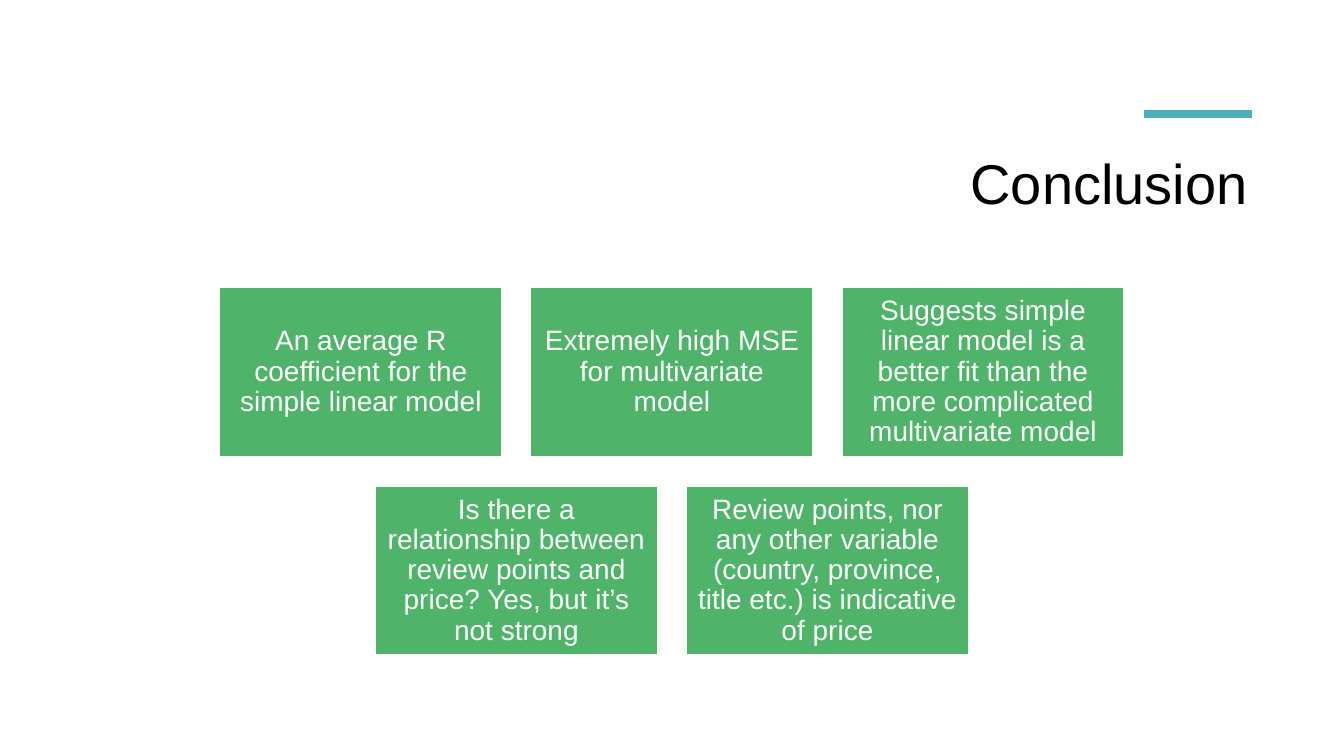
"""Build the conclusion slide: a title, an accent bar and two centred rows of findings."""
from dataclasses import dataclass

from lxml.etree import SubElement
from pptx import Presentation
from pptx.dml.color import RGBColor
from pptx.enum.shapes import MSO_CONNECTOR, MSO_SHAPE
from pptx.enum.text import MSO_ANCHOR, PP_ALIGN
from pptx.oxml.ns import qn
from pptx.text.text import TextFrame
from pptx.util import Inches, Pt

FINDING_WIDTH, FINDING_HEIGHT = 2.8, 1.68
COLUMN_STEP, ROW_STEP = 3.085, 1.97
ROWS_CENTER, ROWS_TOP = 6.665, 2.85
FINDING_ROWS = [
    [
        "An average R coefficient for the simple linear model",
        "Extremely high MSE for multivariate model",
        "Suggests simple linear model is a better fit than the more complicated multivariate model",
    ],
    [
        "Is there a relationship between review points and price? Yes, but it’s not strong",
        "Review points, nor any other variable (country, province, title etc.) is indicative of price",
    ],
]


@dataclass
class Finding:
    text: str
    left: float
    top: float


def color(value: str) -> RGBColor:
    return RGBColor.from_string(value)


def write(frame: TextFrame, text: str, *, size: float, fill: str, align: PP_ALIGN,
          anchor: MSO_ANCHOR, side: float, vertical: float, spacing: float = 1.0) -> None:
    frame.word_wrap = True
    frame.vertical_anchor = anchor
    frame.margin_left = frame.margin_right = Inches(side)
    frame.margin_top = frame.margin_bottom = Inches(vertical)
    paragraph = frame.paragraphs[0]
    paragraph.alignment = align
    paragraph.line_spacing = spacing
    run = paragraph.add_run()
    run.text = text
    run.font.name = "Arial"
    run.font.size = Pt(size)
    run.font.color.rgb = color(fill)


def layout_findings() -> list[Finding]:
    findings = []
    for row, texts in enumerate(FINDING_ROWS):
        row_width = (len(texts) - 1) * COLUMN_STEP + FINDING_WIDTH
        left = ROWS_CENTER - row_width / 2
        for column, text in enumerate(texts):
            findings.append(Finding(text, left + column * COLUMN_STEP, ROWS_TOP + row * ROW_STEP))
    return findings


def draw_finding(slide, finding: Finding) -> None:
    tile = slide.shapes.add_shape(
        MSO_SHAPE.RECTANGLE, Inches(finding.left), Inches(finding.top),
        Inches(FINDING_WIDTH), Inches(FINDING_HEIGHT))
    tile.shadow.inherit = False
    tile.fill.solid()
    tile.fill.fore_color.rgb = color("4FB369")
    tile.line.color.rgb = color("FFFFFF")
    tile.line.width = Pt(1)
    write(tile.text_frame, finding.text, size=20, fill="FFFFFF", align=PP_ALIGN.CENTER,
          anchor=MSO_ANCHOR.MIDDLE, side=0.08, vertical=0.08, spacing=0.9)


def draw_heading(slide) -> None:
    title = slide.shapes.add_textbox(Inches(1.9), Inches(1.37), Inches(10.57), Inches(1.25))
    write(title.text_frame, "Conclusion", size=40, fill="000000", align=PP_ALIGN.RIGHT,
          anchor=MSO_ANCHOR.TOP, side=0.1, vertical=0.1)
    accent = slide.shapes.add_connector(
        MSO_CONNECTOR.STRAIGHT, Inches(11.35), Inches(1.13), Inches(12.42), Inches(1.13))
    accent.line.color.rgb = color("4EAFBA")
    accent.line.width = Pt(6)
    SubElement(accent._element.spPr, qn("a:effectLst"))


def main() -> None:
    deck = Presentation()
    deck.slide_width, deck.slide_height = Inches(13.33), Inches(7.5)
    slide = deck.slides.add_slide(deck.slide_layouts[6])
    draw_heading(slide)
    for finding in layout_findings():
        draw_finding(slide, finding)
    deck.save("out.pptx")


if __name__ == "__main__":
    main()
